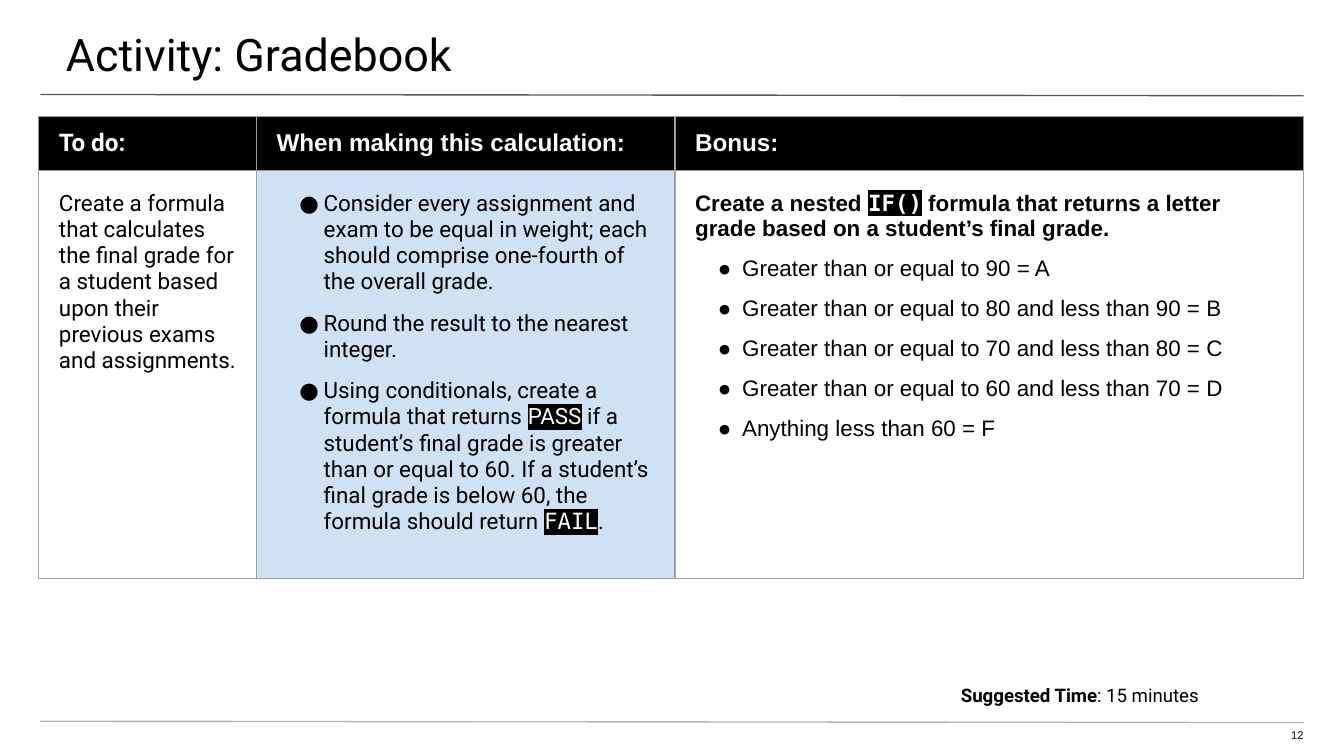
from dataclasses import dataclass

from lxml import etree
from pptx import Presentation
from pptx.dml.color import RGBColor
from pptx.enum.shapes import MSO_CONNECTOR
from pptx.enum.text import MSO_ANCHOR, MSO_AUTO_SIZE, PP_ALIGN
from pptx.oxml.ns import qn
from pptx.util import Pt

STRAIGHT = MSO_CONNECTOR.STRAIGHT
TOP, MIDDLE = MSO_ANCHOR.TOP, MSO_ANCHOR.MIDDLE
LEFT, RIGHT = PP_ALIGN.LEFT, PP_ALIGN.RIGHT
NO_FIT = MSO_AUTO_SIZE.NONE


@dataclass(frozen=True)
class Theme:
    black: str = "000000"
    white: str = "FFFFFF"
    pale_blue: str = "CFE2F3"
    border: str = "9E9E9E"
    title_rule: str = "595959"
    footer_rule: str = "A9B7C0"
    main: str = "Roboto"
    sans: str = "Arial"
    mono: str = "DejaVu Sans Mono"
    title_size: float = 24
    header_size: float = 13
    body_size: float = 12
    time_size: float = 10
    number_size: float = 6
    line: float = 0.75
    padding: float = 10.8
    gap: float = 8


THEME = Theme()


def add_color(parent, tag, color):
    holder = etree.SubElement(parent, qn(tag))
    etree.SubElement(holder, qn("a:srgbClr"), val=color)
    return holder


def add_run(paragraph, text, size, face, bold=False, color=THEME.black, highlight=None):
    run = paragraph.add_run()
    run.text = text
    font = run.font
    font.size, font.bold = Pt(size), bold
    font.color.rgb = RGBColor.from_string(color)
    if highlight:
        add_color(run._r.get_or_add_rPr(), "a:highlight", highlight)
    font.name = face


def add_code(paragraph, text, face=THEME.mono, bold=False):
    """Add white text on a black highlight."""
    add_run(paragraph, text, THEME.body_size, face, bold, THEME.white, THEME.black)


def make_bullet(paragraph, face):
    properties = paragraph._p.get_or_add_pPr()
    properties.set("marL", str(Pt(25.2)))
    properties.set("indent", str(Pt(-13)))
    add_color(properties, "a:buClr", THEME.black)
    etree.SubElement(properties, qn("a:buFont"), typeface=face)
    etree.SubElement(properties, qn("a:buChar"), char="●")


def set_frame(frame, insets, anchor=TOP):
    frame.word_wrap, frame.auto_size = True, NO_FIT
    frame.vertical_anchor = anchor
    (frame.margin_left, frame.margin_top,
     frame.margin_right, frame.margin_bottom) = map(Pt, insets)


def add_text_box(slide, box, insets):
    frame = slide.shapes.add_textbox(*map(Pt, box)).text_frame
    set_frame(frame, insets)
    paragraph = frame.paragraphs[0]
    paragraph.alignment = RIGHT
    return paragraph


def add_rule(slide, left, top, width, color):
    rule = slide.shapes.add_connector(
        STRAIGHT, Pt(left), Pt(top), Pt(left + width), Pt(top + 0.7))
    rule.line.color.rgb = RGBColor.from_string(color)
    rule.line.width = Pt(THEME.line)
    etree.SubElement(rule._element.spPr, qn("a:effectLst"))


def add_heading(slide, left, top, width, height):
    title = slide.shapes.title
    title.left, title.top, title.width, title.height = map(Pt, (left, top, width, height))
    set_frame(title.text_frame, (36, 14.4, 21.6, 7.2))
    paragraph = title.text_frame.paragraphs[0]
    paragraph.alignment = LEFT
    paragraph.line_spacing = 1.0
    add_run(paragraph, "Activity: Gradebook", THEME.title_size, THEME.main)
    add_rule(slide, left + 22.3, top + 50.6, 676.8, THEME.title_rule)


def add_footer(slide, left, top, width, height):
    time = add_text_box(slide, (left, top, width, 20.9), (86.4, 0.7, 79.2, 0))
    add_run(time, "Suggested Time", THEME.time_size, THEME.main, True)
    add_run(time, ": 15 minutes", THEME.time_size, THEME.main)
    add_rule(slide, left + 22.3, top + 20.6, 676.8, THEME.footer_rule)
    number = add_text_box(slide, (left + 678.2, top + 24.5, 20.9, height - 24.5), (0, 0, 0, 7.2))
    add_run(number, "12", THEME.number_size, THEME.sans)


def style_cell(cell, fill=None, anchor=TOP, vertical_padding=THEME.padding):
    cell.margin_left = cell.margin_right = Pt(THEME.padding)
    cell.margin_top = cell.margin_bottom = Pt(vertical_padding)
    cell.vertical_anchor = anchor
    properties = cell._tc.get_or_add_tcPr()
    for side in ("a:lnL", "a:lnR", "a:lnT", "a:lnB"):
        edge = etree.SubElement(properties, qn(side), w=str(Pt(THEME.line)))
        add_color(edge, "a:solidFill", THEME.border)
    if fill:
        cell.fill.solid()
        cell.fill.fore_color.rgb = RGBColor.from_string(fill)
    else:
        cell.fill.background()


def add_bullets(frame, items, face, first=False):
    """Add one bullet per item and return the last; first reuses the opening paragraph."""
    for index, item in enumerate(items):
        opening = first and index == 0
        paragraph = frame.paragraphs[0] if opening else frame.add_paragraph()
        make_bullet(paragraph, face)
        if not opening:
            paragraph.space_before = Pt(THEME.gap)
        add_run(paragraph, item, THEME.body_size, face)
    paragraph.space_after = Pt(THEME.gap)
    return paragraph


def fill_calculation(frame):
    rule = add_bullets(frame, (
        "Consider every assignment and exam to be equal in weight; each should "
        "comprise one-fourth of the overall grade.",
        "Round the result to the nearest integer.",
        "Using conditionals, create a formula that returns ",
    ), THEME.main, first=True)
    add_code(rule, "PASS", THEME.main)
    add_run(rule, " if a student’s final grade is greater than or equal to 60. If a student’s "
            "final grade is below 60, the formula should return ", THEME.body_size, THEME.main)
    add_code(rule, "FAIL")
    add_run(rule, ".", THEME.body_size, THEME.main)


def fill_bonus(frame):
    task = frame.paragraphs[0]
    add_run(task, "Create a nested ", THEME.body_size, THEME.sans, True)
    add_code(task, "IF()", bold=True)
    add_run(task, " formula that returns a letter grade based on a student’s final grade.",
            THEME.body_size, THEME.sans, True)
    middle_grades = [f"Greater than or equal to {low} and less than {low + 10} = {letter}"
                     for low, letter in ((80, "B"), (70, "C"), (60, "D"))]
    add_bullets(frame, ["Greater than or equal to 90 = A", *middle_grades,
                        "Anything less than 60 = F"], THEME.sans)


def add_activity_table(slide, left, top, width, height):
    header_height, shares = 28.8, (116.6, 224.2)
    widths = (*shares, width - sum(shares))
    table = slide.shapes.add_table(2, 3, *map(Pt, (left, top, width, height))).table
    table.first_row = table.horz_banding = False
    for column, column_width in zip(table.columns, widths):
        column.width = Pt(column_width)
    table.rows[0].height, table.rows[1].height = Pt(header_height), Pt(height - header_height)

    headers = (("To do:", THEME.main), ("When making this calculation:", THEME.sans),
               ("Bonus:", THEME.sans))
    for index, (label, face) in enumerate(headers):
        header = table.cell(0, index)
        style_cell(header, THEME.black, MIDDLE, 0)
        add_run(header.text_frame.paragraphs[0], label, THEME.header_size, face, True, THEME.white)

    todo, calculation, bonus = (table.cell(1, index) for index in range(3))
    for cell, fill in ((todo, None), (calculation, THEME.pale_blue), (bonus, None)):
        style_cell(cell, fill)
    add_run(todo.text_frame.paragraphs[0],
            "Create a formula that calculates the final grade for a student based upon "
            "their previous exams and assignments.", THEME.body_size, THEME.main)
    fill_calculation(calculation.text_frame)
    fill_bonus(bonus.text_frame)


def main():
    deck = Presentation()
    deck.slide_width, deck.slide_height = Pt(720), Pt(405)
    slide = deck.slides.add_slide(deck.slide_layouts[5])
    add_heading(slide, -0.7, 0, 722, 41.8)
    add_activity_table(slide, 20.8, 62.4, 677.5, 247.7)
    add_footer(slide, -0.7, 365.8, 722, 33.1)
    deck.save("out.pptx")


if __name__ == "__main__":
    main()
